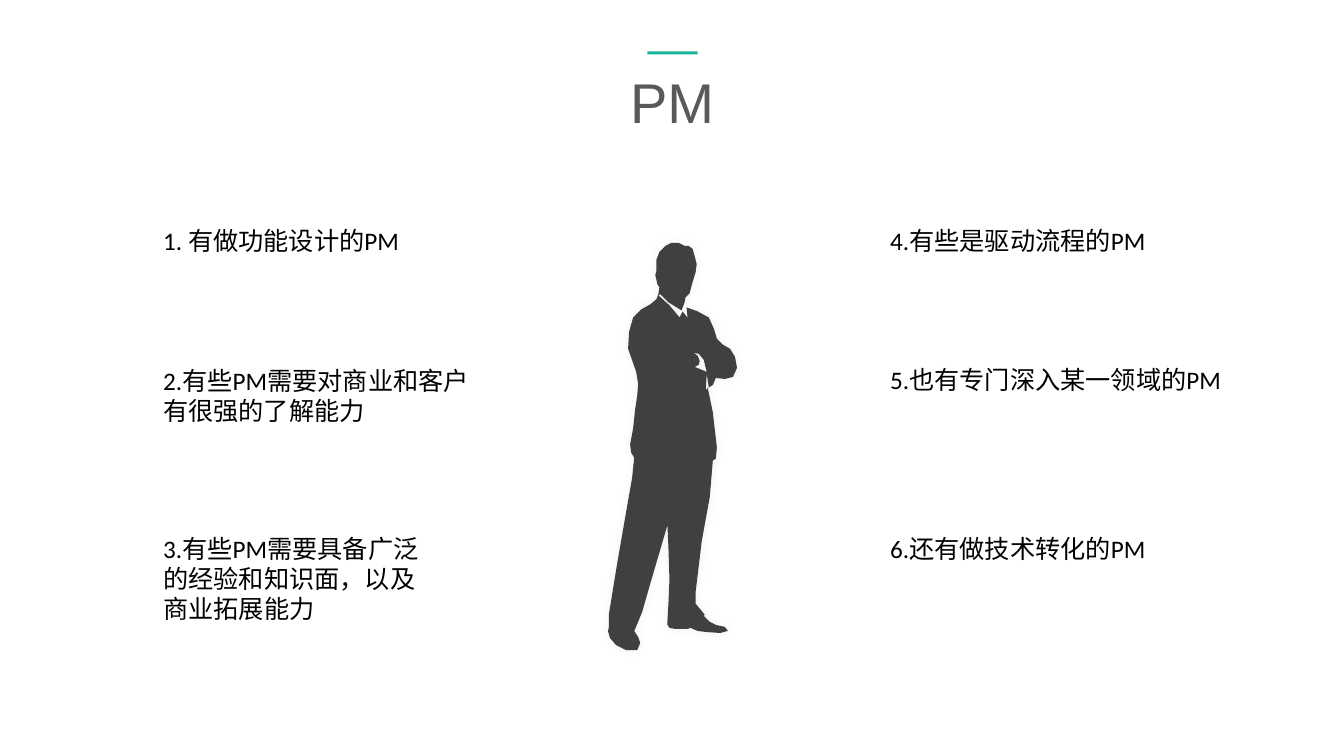
from lxml.etree import SubElement
from pptx import Presentation
from pptx.dml.color import RGBColor
from pptx.enum.shapes import MSO_SHAPE
from pptx.enum.text import MSO_ANCHOR, MSO_AUTO_SIZE, PP_ALIGN
from pptx.oxml.ns import qn
from pptx.util import Pt

SCALE = 9144


def px(*lengths):
    return [length * SCALE for length in lengths]


def paint(target, color):
    target.fill.solid()
    target.fill.fore_color.rgb = RGBColor.from_string(color)


presentation = Presentation()
presentation.slide_width, presentation.slide_height = px(1333, 750)
slide = presentation.slides.add_slide(presentation.slide_layouts[5])
paint(slide.background, "FFFFFF")

body = [
    (729, 354), (724, 346), (717, 342), (711, 336), (708, 326), (703, 315),
    (692, 309), (681, 305), (682, 316), (681, 314), (677, 309), (674, 315),
    (664, 303), (653, 293), (655, 292), (663, 300), (676, 308), (679, 300),
    (680, 295), (684, 291), (686, 283), (690, 270), (691, 262), (689, 254),
    (687, 247), (683, 244), (679, 244), (673, 241), (666, 241), (660, 244),
    (656, 248), (654, 250), (651, 258), (651, 269), (650, 273), (652, 282),
    (654, 285), (653, 292), (651, 297), (645, 302), (636, 307), (628, 315),
    (624, 329), (623, 346), (631, 369), (633, 381), (632, 393), (630, 406),
    (628, 425), (625, 441), (626, 449), (629, 454), (627, 474), (621, 508),
    (612, 560), (604, 609), (604, 622), (603, 626), (605, 633), (611, 640),
    (621, 645), (632, 645), (635, 638), (633, 632), (629, 626), (630, 624),
    (637, 607), (645, 579), (662, 521), (663, 543), (664, 575), (663, 599),
    (662, 616), (662, 620), (664, 623), (670, 624), (682, 624), (685, 623),
    (692, 626), (700, 627), (714, 628), (722, 626), (719, 622), (710, 620),
    (704, 617), (698, 611), (699, 610), (695, 605), (690, 599), (690, 587),
    (696, 537), (704, 493), (707, 457), (710, 455), (711, 444), (707, 409),
    (702, 385), (707, 382), (710, 375), (719, 376), (727, 374), (731, 365),
]
hand_gap = [(689, 364), (693, 362), (694, 358), (692, 353), (688, 350), (693, 351), (698, 357), (701, 369)]
cuff_gap = [(700, 387), (701, 371), (703, 384)]

builder = slide.shapes.build_freeform(*body[0], scale=SCALE)
builder.add_line_segments(body[1:], close=True)
for gap in (hand_gap, cuff_gap):
    builder.move_to(*gap[0])
    builder.add_line_segments(gap[1:], close=True)
silhouette = builder.convert_to_shape()
paint(silhouette, "404040")
silhouette.line.fill.background()
silhouette.shadow.inherit = False
effects = silhouette._element.spPr.find(qn("a:effectLst"))
shadow = SubElement(effects, qn("a:outerShdw"), blurRad="76200", dist="0", dir="13500000")
shadow_color = SubElement(shadow, qn("a:srgbClr"), val="000000")
SubElement(shadow_color, qn("a:alpha"), val="6000")

title = slide.shapes.title
title.left, title.top, title.width, title.height = px(571, 55, 191, 84)
title.text_frame.text = "PM"
title.text_frame.word_wrap = False
title.text_frame.auto_size = MSO_AUTO_SIZE.SHAPE_TO_FIT_TEXT
title.text_frame.vertical_anchor = MSO_ANCHOR.TOP
paragraph = title.text_frame.paragraphs[0]
paragraph.alignment = PP_ALIGN.CENTER
paragraph.line_spacing = 1.1
paragraph.font.size = Pt(40)
paragraph.font.name = "Arial"
paragraph.font.color.rgb = RGBColor.from_string("595959")

accent = slide.shapes.add_shape(MSO_SHAPE.RECTANGLE, *px(642, 51, 50, 3))
paint(accent, "19B49B")
accent.line.fill.background()
accent.shadow.inherit = False

columns = [
    (152, [
        ("1. 有做功能设计的PM", 378, 40),
        ("2.有些PM需要对商业和客户有很强的了解能力", 330, 71),
        ("3.有些PM需要具备广泛的经验和知识面，以及商业拓展能力", 285, 101),
    ]),
    (873, [
        ("4.有些是驱动流程的PM", 283, 40),
        ("5.也有专门深入某一领域的PM", 366, 40),
        ("6.还有做技术转化的PM", 326, 40),
    ]),
]
for left, items in columns:
    for top, (text, width, height) in zip((219, 357, 524), items):
        text_frame = slide.shapes.add_textbox(*px(left, top, width, height)).text_frame
        text_frame.word_wrap = True
        text_frame.auto_size = MSO_AUTO_SIZE.SHAPE_TO_FIT_TEXT
        text_frame.text = text
        font = text_frame.paragraphs[0].font
        font.size = Pt(18)
        font.name = "Calibri"
        font.color.rgb = RGBColor.from_string("000000")

presentation.save("out.pptx")
